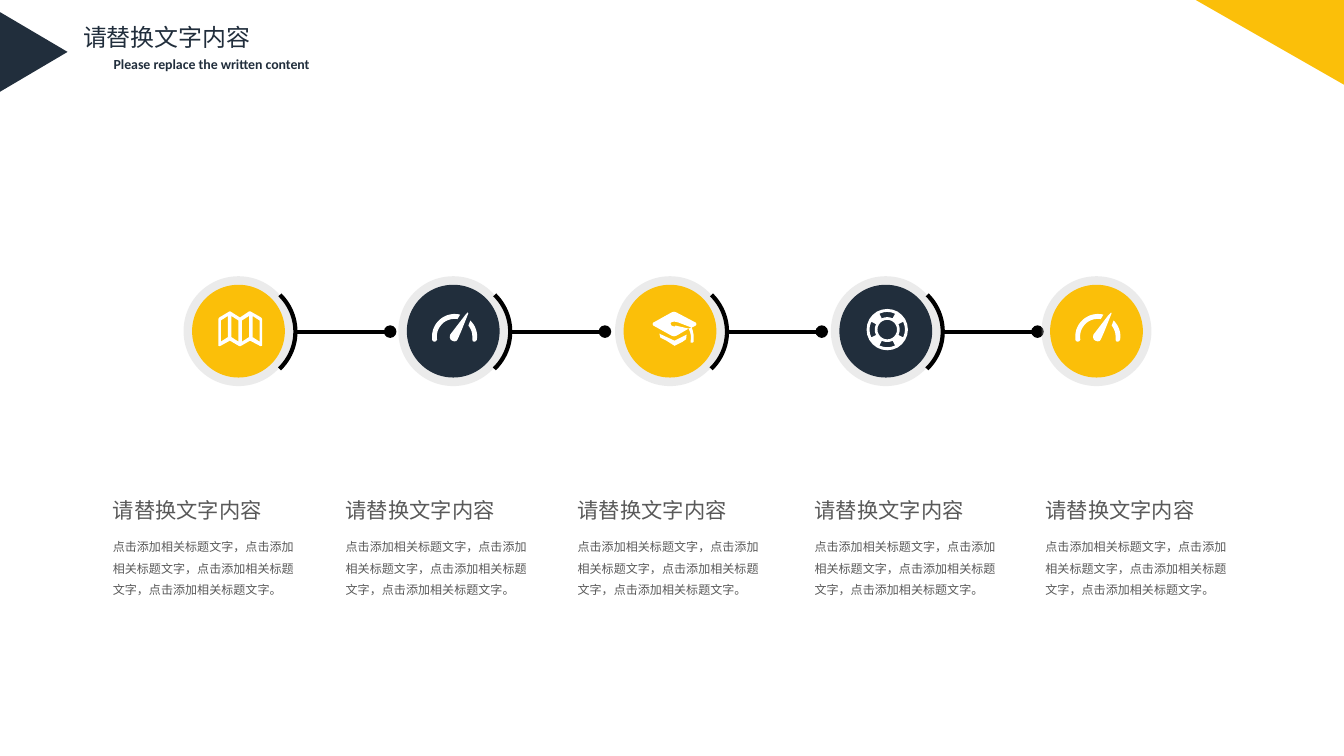
import math
import lxml.etree
import pptx
import pptx.dml.color
import pptx.enum.shapes
import pptx.enum.text
import pptx.oxml.ns
import pptx.util

COLORS = {"navy": "212E3C", "amber": "FBBF09", "ring": "BFBFBF",
          "link": "000000", "icon": "FFFFFF", "body": "595959"}
SHAPES = pptx.enum.shapes.MSO_SHAPE
qn = pptx.oxml.ns.qn

deck = pptx.Presentation()
deck.slide_width = pptx.util.Inches(13.33)
deck.slide_height = pptx.util.Inches(7.5)
column = deck.slide_width / 133.3
row = deck.slide_height / 75
slide = deck.slides.add_slide(deck.slide_layouts[6])


def paint(shape, color):
    shape.shadow.inherit = False
    shape.fill.solid()
    shape.fill.fore_color.rgb = pptx.dml.color.RGBColor.from_string(COLORS[color])
    shape.line.fill.background()
    return shape


def arc(x, y, radius, start, end):
    angles = [math.radians(start + (end - start) * i / 24) for i in range(25)]
    return [(x + radius * math.cos(a), y + radius * math.sin(a)) for a in angles]


for kind, left, top, width, height, turn, color in [
    (SHAPES.ISOSCELES_TRIANGLE, -0.6, 1.8, 7.9, 6.7, 90, "navy"),
    (SHAPES.RIGHT_TRIANGLE, 118.6, 0, 14.7, 8.4, 180, "amber"),
]:
    corner = paint(slide.shapes.add_shape(
        kind, round(left * column), round(top * row),
        round(width * column), round(height * row)), color)
    corner.rotation = turn

map_icon = [[(-20, -12), (-19, -13.5), (-9, -19.5), (-8, -19.5), (1.5, -13.5),
             (10.5, -19.5), (12, -19.5), (22.5, -13.5), (23.5, -12), (23.5, 14.5),
             (22, 15), (11.5, 9.5), (2, 15), (1, 15), (-8.5, 9.5), (-18.5, 15),
             (-20, 14.5)]]
for fold in range(4):
    edge = -17.5 + 10.5 * fold
    rise = [0, -4.5] if fold % 2 == 0 else [-4.5, 0]
    map_icon.append([(edge, -10.5 + rise[0]), (edge + 7, -10.5 + rise[1]),
                     (edge + 7, 10.5 + rise[1]), (edge, 10.5 + rise[0])])

gauge_icon = [
    [(-3, 3.5), (-3.4, 6), (-2.6, 8.3), (-1, 9.5), (1.2, 10.2), (3.2, 9.8),
     (4.5, 8), (8, 0), (15, -17.5), (14.5, -18.5), (12, -16)],
    arc(1.5, 5.5, 22.5, 180, 284) + arc(1.5, 5.5, 17.7, 279, 180)
    + [(-16, 8.5), (-17, 10), (-18.5, 10.5), (-20, 10), (-21, 8.5)],
    arc(1.5, 5.5, 22.3, 314, 360)
    + [(23.5, 8.5), (22.5, 10), (21, 10.5), (19.5, 10), (19, 8.5)]
    + arc(1.5, 5.5, 17.5, 360, 321),
]

graduation_icon = [
    [(-10.5, 2.5), (-9.5, 6.5), (-3.5, 9.5), (4.5, 14.5), (12.5, 10.5),
     (16, 8), (16.5, 3.5), (4.5, 9.5)],
    [(25.5, -8.5), (6.5, -18.5), (4, -19.3), (1.5, -18.5), (-16.5, -8.5),
     (-17.3, -7), (-16.5, -5.5), (1.5, 4.5), (4, 5.2), (6.5, 4.5), (18.5, -2.5),
     (5.5, -5.5), (4.5, -4.5), (1.5, -5.5), (0.5, -7.5), (1.5, -9), (4.5, -9.5),
     (8.5, -8.5), (21.5, -3.5), (25.5, -5.5), (26.3, -7)],
    [(20.5, 11.5), (22.5, 11.5), (23.5, 10.5), (23.5, 4), (22.5, -1),
     (21.5, -3.5), (18.5, -2.5), (20, 1), (20.8, 5)],
]

lifebuoy_icon = [arc(1.5, -1.5, 20.5, 0, 360), arc(1.5, -1.5, 9.7, 0, 360)]
for middle in range(0, 360, 90):
    lifebuoy_icon.append(arc(1.5, -1.5, 17.5, middle - 26, middle + 26)
                         + arc(1.5, -1.5, 12.3, middle + 26, middle - 26))

steps = [
    (23.65, 10.2, "amber", map_icon),
    (44.95, 33.3, "navy", gauge_icon),
    (66.45, 56.3, "amber", graduation_icon),
    (87.85, 79.8, "navy", lifebuoy_icon),
    (108.75, 102.7, "amber", gauge_icon),
]
middle_row = 32.85
link_row = 32.9

for number, (center, text_left, color, icon) in enumerate(steps):
    for size, tone in [(10.9, "ring"), (9.2, color)]:
        disc = paint(slide.shapes.add_shape(
            SHAPES.OVAL, round((center - size / 2) * column),
            round((middle_row - size / 2) * row),
            round(size * column), round(size * row)), tone)
        if tone == "ring":
            tint = disc.element.spPr.find(".//" + qn("a:srgbClr"))
            lxml.etree.SubElement(tint, qn("a:alpha")).set("val", "30000")

    outline = None
    for contour in icon:
        points = [(round(x * 10), round(y * 10)) for x, y in contour]
        if outline is None:
            outline = slide.shapes.build_freeform(*points[0], scale=column / 100)
        else:
            outline.move_to(*points[0])
        outline.add_line_segments(points[1:], close=True)
    paint(outline.convert_to_shape(round(center * column), round(middle_row * row)), "icon")

    if number < len(steps) - 1:
        bracket = slide.shapes.add_shape(
            SHAPES.ARC, round((center - 4.55) * column), round((link_row - 5.1) * row),
            round(10.2 * column), round(10.2 * row))
        bracket.shadow.inherit = False
        bracket.fill.background()
        bracket.rotation = 270
        bracket.adjustments[0] = 26.57
        bracket.adjustments[1] = 81.76
        link = slide.shapes.add_connector(
            pptx.enum.shapes.MSO_CONNECTOR.STRAIGHT,
            round((center + 5.85) * column), round(link_row * row),
            round((center + 15.05) * column), round(link_row * row))
        for stroke in (bracket.line, link.line):
            stroke.color.rgb = pptx.dml.color.RGBColor.from_string(COLORS["link"])
            stroke.width = pptx.util.Pt(3)
        line_xml = link.element.spPr.find(qn("a:ln"))
        lxml.etree.SubElement(line_xml, qn("a:tailEnd")).set("type", "oval")
        lxml.etree.SubElement(link.element.spPr, qn("a:effectLst"))

heading = "请替换文字内容"
detail = "，".join(["点击添加相关标题文字"] * 4) + "。"
right = pptx.enum.text.PP_ALIGN.RIGHT
start = pptx.enum.text.PP_ALIGN.LEFT
texts = [
    (7.2, 1.7, 18.6, 3.9, heading, 17.1, "Calibri", "navy", False, right, False, 1),
    (10.2, 5, 21.5, 2.7, "Please replace the written content", 9.9, "Calibri",
     "navy", True, right, True, 1),
]
for center, text_left, color, icon in steps:
    texts.append((text_left, 48.8, 16.8, 3.5, heading, 15.2, "Calibri",
                  "body", False, start, False, 1))
    texts.append((text_left, 52.3, 20.9, 7.5, detail, 8.6, "Arial",
                  "body", False, start, True, 1.5))

for left, top, width, height, words, size, face, color, bold, align, wrap, spacing in texts:
    box = slide.shapes.add_textbox(round(left * column), round(top * row),
                                   round(width * column), round(height * row))
    box.text_frame.word_wrap = wrap
    box.text_frame.auto_size = pptx.enum.text.MSO_AUTO_SIZE.SHAPE_TO_FIT_TEXT
    paragraph = box.text_frame.paragraphs[0]
    paragraph.alignment = align
    paragraph.line_spacing = spacing
    run = paragraph.add_run()
    run.text = words
    run.font.name = face
    run.font.size = pptx.util.Pt(size)
    run.font.bold = bold
    run.font.color.rgb = pptx.dml.color.RGBColor.from_string(COLORS[color])

deck.save("out.pptx")
